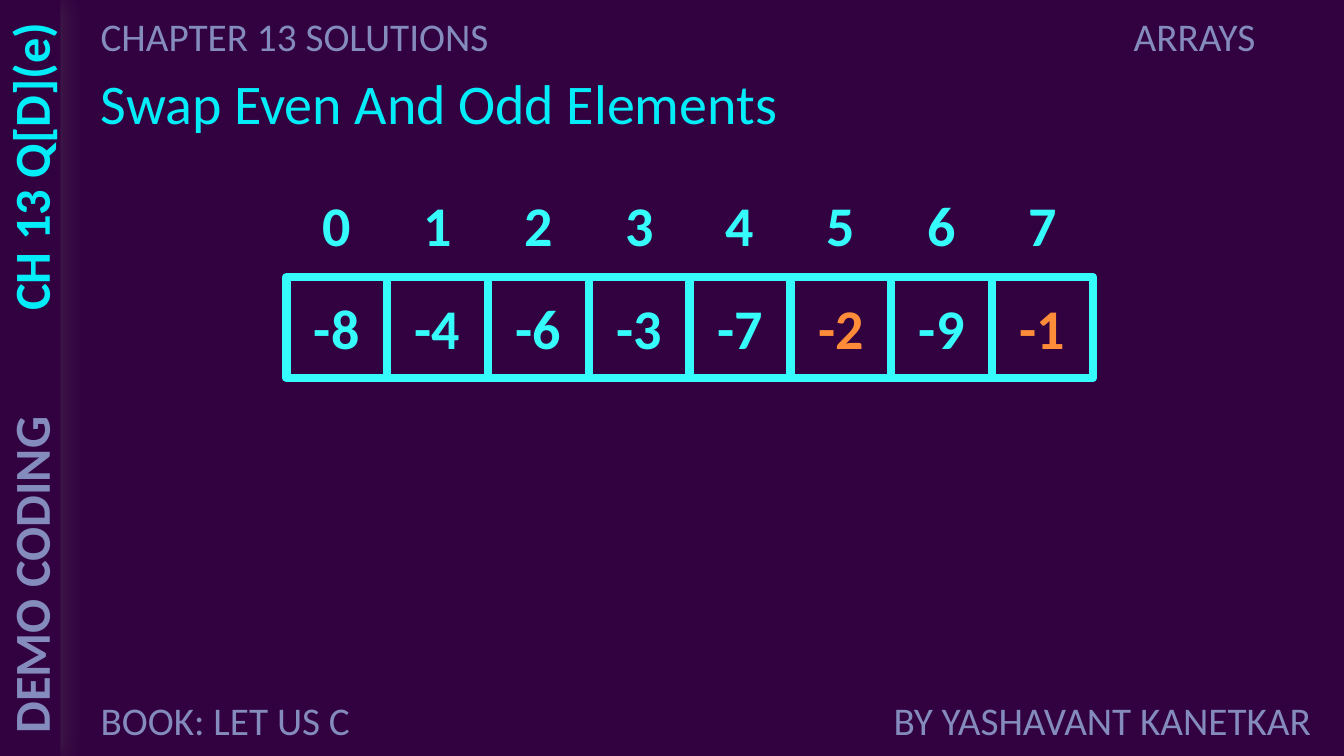
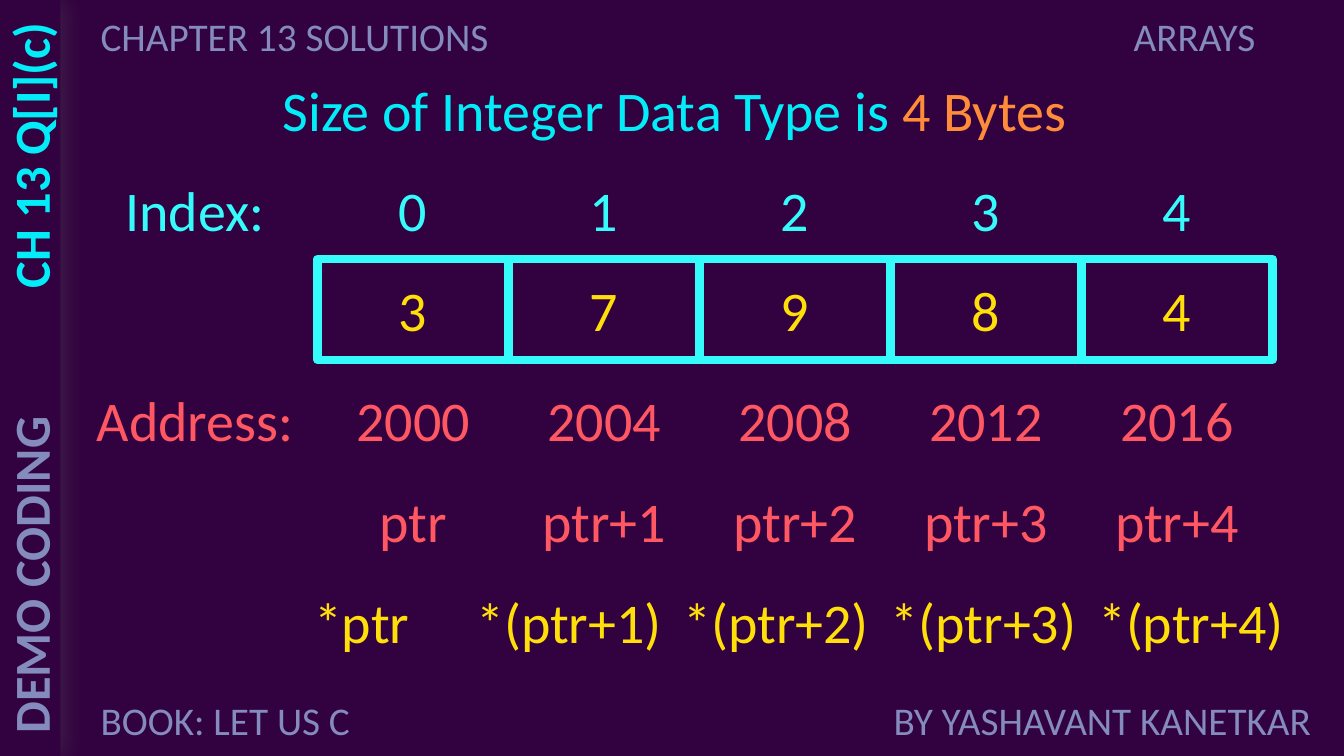
import dataclasses

import lxml.etree
import pptx
import pptx.dml.color
import pptx.enum.shapes
import pptx.enum.text
import pptx.oxml.ns
import pptx.util

Inches = pptx.util.Inches
Pt = pptx.util.Pt
ALIGN = pptx.enum.text.PP_ALIGN
ANCHOR = pptx.enum.text.MSO_ANCHOR


@dataclasses.dataclass(frozen=True)
class Theme:
    font: str = "Calibri"
    background: str = "320140"
    shadow: str = "595959"
    muted: str = "848BBD"
    heading: str = "03EDF9"
    cell: str = "36FBFB"
    accent: str = "FF8C39"
    value: str = "FFDF09"
    address: str = "FF5862"
    label_size: int = 28
    side_size: int = 36
    main_size: int = 40
    border: int = 6


THEME = Theme()
CELL_HEIGHT = 1


def rgb(value):
    return pptx.dml.color.RGBColor.from_string(value)


def write(tf, text, color=THEME.cell, size=THEME.main_size, bold=False,
          align=ALIGN.LEFT, anchor=ANCHOR.TOP):
    """Write one paragraph; text is a string or a list of (text, colour) runs."""
    tf.word_wrap = True
    tf.auto_size = pptx.enum.text.MSO_AUTO_SIZE.NONE
    tf.vertical_anchor = anchor
    p = tf.paragraphs[0]
    p.alignment = align
    runs = [(text, color)] if isinstance(text, str) else text
    for run_text, run_color in runs:
        r = p.add_run()
        r.text = run_text
        r.font.name = THEME.font
        r.font.size = Pt(size)
        r.font.bold = bold
        r.font.color.rgb = rgb(run_color)


def add_text(s, text, box, rotation=0, **fmt):
    sp = s.shapes.add_textbox(*map(Inches, box))
    sp.rotation = rotation
    write(sp.text_frame, text, **fmt)


def add_rectangle(s, box):
    sp = s.shapes.add_shape(pptx.enum.shapes.MSO_SHAPE.RECTANGLE, *map(Inches, box))
    sp.shadow.inherit = False
    return sp


def add_cell(s, text, box, **fmt):
    sp = add_rectangle(s, box)
    sp.fill.background()
    sp.line.color.rgb = rgb(THEME.cell)
    sp.line.width = Pt(THEME.border)
    write(sp.text_frame, text, **fmt)


def add_row(s, texts, left, top, width, draw=add_text, highlights=(), color=THEME.cell, **fmt):
    """Share the width equally among the texts; highlights lists accented positions."""
    step = width / len(texts)
    for i, text in enumerate(texts):
        draw(s, text, (left + i * step, top, step, CELL_HEIGHT),
             color=THEME.accent if i in highlights else color,
             align=ALIGN.CENTER, anchor=ANCHOR.MIDDLE, **fmt)


def add_side_band(s):
    sp = add_rectangle(s, (0, 0, 0.6, 7.5))
    sp.fill.solid()
    sp.fill.fore_color.rgb = rgb(THEME.background)
    sp.line.fill.background()
    qn = pptx.oxml.ns.qn
    effects = sp._element.spPr.find(qn("a:effectLst"))
    shadow = lxml.etree.SubElement(
        effects, qn("a:outerShdw"), blurRad=str(Pt(17)), dist=str(Pt(3)),
        dir="0", algn="l", rotWithShape="0")
    color = lxml.etree.SubElement(shadow, qn("a:srgbClr"), val=THEME.shadow)
    lxml.etree.SubElement(color, qn("a:alpha"), val="35000")


def add_slide(prs, question, title, title_box, title_align=ALIGN.LEFT):
    """Add a slide with its title, side band and the labels around its edges."""
    s = prs.slides.add_slide(prs.slide_layouts.get_by_name("Title Only"))
    sp = s.shapes.title
    sp.left, sp.top, sp.width, sp.height = map(Inches, title_box)
    write(sp.text_frame, title, color=THEME.heading, align=title_align)
    add_side_band(s)

    for text, box, align in (
        ("CHAPTER 13 SOLUTIONS", (0.9, 0.07, 4.18, 0.57), ALIGN.LEFT),
        ("ARRAYS", (5.6, 0.07, 6.95, 0.57), ALIGN.RIGHT),
        ("BOOK: LET US C", (0.9, 6.86, 2.78, 0.57), ALIGN.LEFT),
        ("BY YASHAVANT KANETKAR", (8.34, 6.86, 4.76, 0.57), ALIGN.RIGHT),
    ):
        add_text(s, text, box, color=THEME.muted, size=THEME.label_size, align=align)

    for text, top, color, align in (
        ("DEMO CODING", 5.33, THEME.muted, ALIGN.LEFT),
        (question, 1.46, THEME.heading, ALIGN.RIGHT),
    ):
        add_text(s, text, (-1.39, top, 3.38, 0.71), rotation=270, color=color,
                 size=THEME.side_size, bold=True, align=align)
    return s


def add_swap_slide(prs):
    s = add_slide(prs, "CH 13 Q[D](e)", "Swap Even And Odd Elements", (0.9, 0.63, 6.99, 0.77))
    values = ["-8", "-4", "-6", "-3", "-7", "-2", "-9", "-1"]
    left, width = 2.84, len(values)
    add_row(s, values, left, 2.75, width, draw=add_cell, highlights=(5, 7), bold=True)
    add_row(s, [str(i) for i in range(len(values))], left, 1.72, width, bold=True)


def add_pointer_slide(prs):
    title = [("Size of Integer Data Type is ", THEME.heading), ("4 Bytes", THEME.accent)]
    s = add_slide(prs, "CH 13 Q[I](c)", title, (1.93, 0.7, 9.52, 0.77), ALIGN.CENTER)
    values = ["3", "7", "9", "8", "4"]
    indexes = range(len(values))
    pointers = ["ptr"] + [f"ptr+{i}" for i in indexes[1:]]
    targets = ["*ptr"] + [f"*({pointer})" for pointer in pointers[1:]]
    left, width = 3.15, 9.47

    add_row(s, values, left, 2.57, width, draw=add_cell, color=THEME.value)
    for label, texts, top, color in (
        ("Index:", [str(i) for i in indexes], 1.57, THEME.cell),
        ("Address:", [str(2000 + 4 * i) for i in indexes], 3.66, THEME.address),
    ):
        add_row(s, [label], 0.71, top, 2.45, color=color)
        add_row(s, texts, left, top, width, color=color)
    add_row(s, pointers, left, 4.66, width, color=THEME.address)
    add_row(s, targets, 2.56, 5.66, 10.28, color=THEME.value)


def main():
    prs = pptx.Presentation()
    prs.slide_width, prs.slide_height = Inches(13.33), Inches(7.5)
    fill = prs.slide_master.background.fill
    fill.solid()
    fill.fore_color.rgb = rgb(THEME.background)
    add_swap_slide(prs)
    add_pointer_slide(prs)
    prs.save("out.pptx")


if __name__ == "__main__":
    main()
